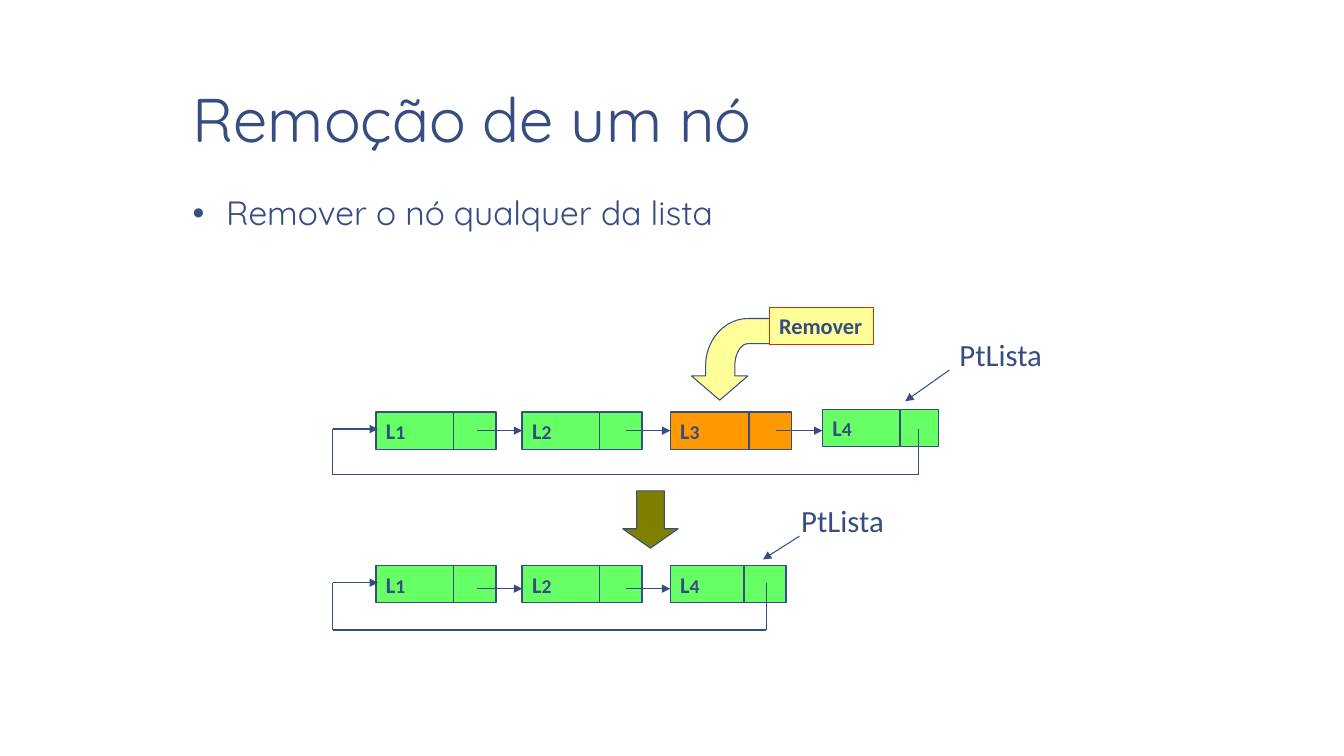
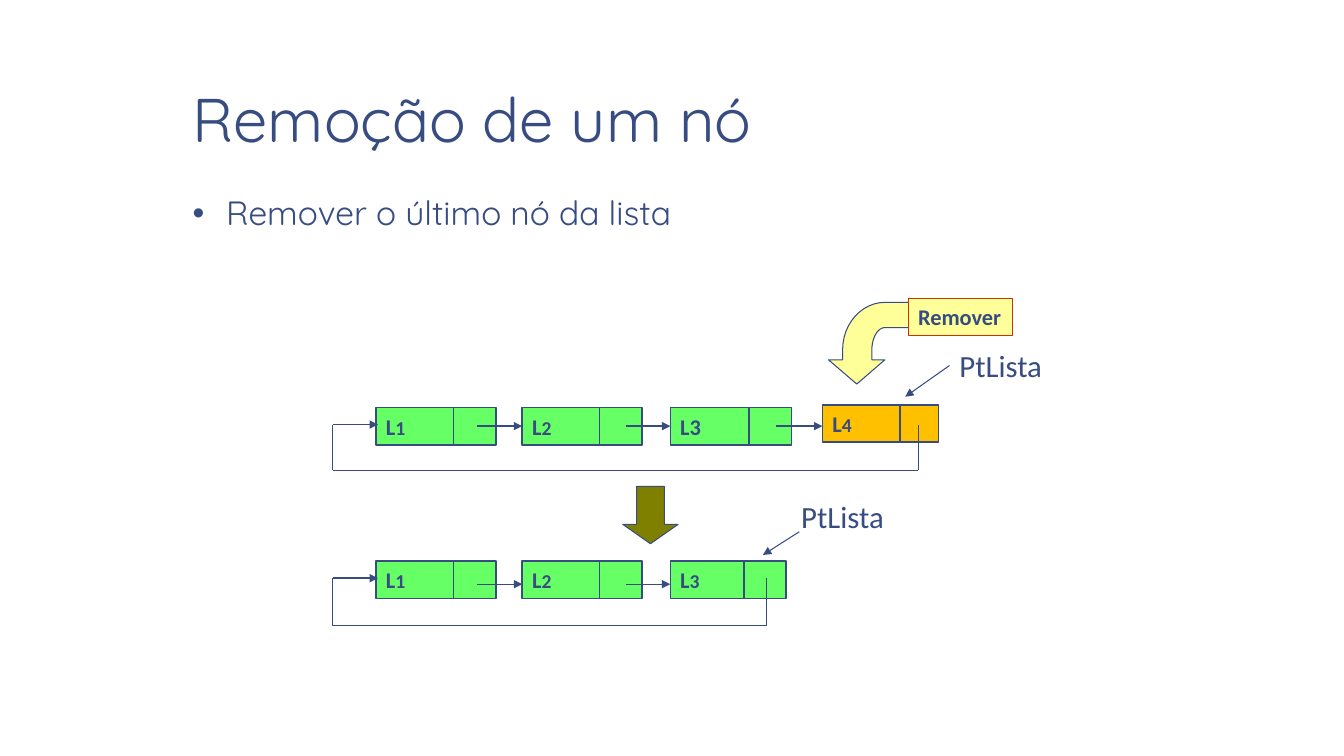
"""Build two slides on removing a node from a circular linked list."""
from dataclasses import dataclass
from lxml.etree import SubElement
from pptx import Presentation
from pptx.dml.color import RGBColor
from pptx.enum.shapes import MSO_CONNECTOR, MSO_SHAPE
from pptx.enum.text import MSO_ANCHOR, PP_ALIGN
from pptx.oxml.ns import qn
from pptx.util import Pt


@dataclass(frozen=True)
class Theme:
    ink: RGBColor = RGBColor.from_string("374C81")
    node: RGBColor = RGBColor.from_string("66FF66")
    orange: RGBColor = RGBColor.from_string("FF9900")
    amber: RGBColor = RGBColor.from_string("FFC000")
    olive: RGBColor = RGBColor.from_string("808000")
    note: RGBColor = RGBColor.from_string("FFFF99")
    note_edge: RGBColor = RGBColor.from_string("CC3300")
    heading_face: str = "Quicksand"
    label_face: str = "Calibri"
    title_size: int = 44
    body_size: int = 24
    pointer_size: int = 22
    label_size: int = 16
    digit_size: int = 14
    thin: float = 0.75
    medium: float = 1


theme = Theme()


def write(holder, parts, size, face, bold=False, anchor=MSO_ANCHOR.MIDDLE, inset=(7.2, 3.6), wrap=False):
    frame = holder.text_frame
    frame.word_wrap = wrap
    frame.vertical_anchor = anchor
    frame.margin_left = frame.margin_right = Pt(inset[0])
    frame.margin_top = frame.margin_bottom = Pt(inset[1])
    paragraph = frame.paragraphs[0]
    paragraph.alignment = PP_ALIGN.LEFT
    for part in parts:
        paragraph.add_run().text = part
    paragraph.font.size = Pt(size)
    paragraph.font.name = face
    paragraph.font.bold = bold
    paragraph.font.color.rgb = theme.ink
    return paragraph


def link(shapes, start, end, width=theme.thin, arrow=False):
    line = shapes.add_connector(MSO_CONNECTOR.STRAIGHT, *map(Pt, start + end))
    line.line.color.rgb = theme.ink
    line.line.width = Pt(width)
    properties = line._element.spPr
    if arrow:
        SubElement(properties.find(qn("a:ln")), qn("a:tailEnd"), type="triangle")
    SubElement(properties, qn("a:effectLst"))


node_height = 26.6
ring_left, entry_x = 237.6, 270
first_nodes = [(268.6, 324, 354.2, 340.6), (373, 428.4, 458.6, 447.1)]
full_list = first_nodes + [(478.8, 535, 565.2, 554.4), (587.5, 643, 670.3, 655.9)]
short_list = first_nodes + [(478.8, 531.4, 561.6, 547.2)]

outer_bend = [(10.1, 33.8), (10.1, 15.1), (23.8, 0), (40.3, 0)]
inner_bend = [(40.3, 18), (35.3, 18), (31, 25.2), (31, 33.8)]
bend_steps = 12
curves = []
for bend in (outer_bend, inner_bend):
    curve = []
    for step in range(bend_steps + 1):
        t = step / bend_steps
        weights = ((1 - t) ** 3, 3 * t * (1 - t) ** 2, 3 * t * t * (1 - t), t ** 3)
        curve.append(tuple(sum(w * point[axis] for w, point in zip(weights, bend)) for axis in (0, 1)))
    curves.append(curve)
bent_arrow = [(20.2, 58.3), (0, 41), (10.1, 41), *curves[0], (71.3, 0), (71.3, 18), *curves[1], (31, 41), (40.3, 41)]

cases = [
    {"topic": "Remover o nó qualquer da lista", "shift": 0, "removed": "L3", "highlight": theme.orange,
     "left": ["L1", "L2", "L4"], "arrow": (493.9, 227.5), "note": (549.4, 219.6), "pointer_top": 236.2,
     "even_labels": []},
    {"topic": "Remover o último nó da lista", "shift": -3.2, "removed": "L4", "highlight": theme.amber,
     "left": ["L1", "L2", "L3"], "arrow": (591.8, 216), "note": (648.7, 213.1), "pointer_top": 244.1,
     "even_labels": ["L3"]},
]

deck = Presentation()
deck.slide_width, deck.slide_height = Pt(960), Pt(540)

for case in cases:
    shapes = deck.slides.add_slide(deck.slide_layouts[6]).shapes
    shift = case["shift"]
    painted = []

    title = shapes.add_textbox(Pt(128.2), Pt(5.8), Pt(708.5), Pt(110.2))
    heading = write(title, ["Remoção de um nó"], theme.title_size, theme.heading_face,
                    anchor=MSO_ANCHOR.BOTTOM, inset=(9.4, 5), wrap=True)
    heading.line_spacing = 0.85

    topic = shapes.add_textbox(Pt(128.2), Pt(133.9), Pt(708.5), Pt(37.4))
    bullet = topic.text_frame.paragraphs[0]
    bullet.line_spacing = 0.95
    indents = bullet._p.get_or_add_pPr()
    indents.set("marL", str(Pt(24)))
    indents.set("indent", str(Pt(-24)))
    SubElement(indents, qn("a:buFont"), typeface="Arial")
    SubElement(indents, qn("a:buChar"), char="•")
    write(topic, [case["topic"]], theme.body_size, theme.heading_face,
          anchor=MSO_ANCHOR.TOP, inset=(9.4, 5), wrap=True)

    rows = [
        {"labels": ["L1", "L2", "L3", "L4"], "nodes": full_list, "top": 294.4, "last_top": 292.4,
         "link_y": 307.6, "entry_y": 306.5, "ring_y": 339, "even": case["even_labels"]},
        {"labels": case["left"], "nodes": short_list, "top": 404, "last_top": 404,
         "link_y": 420.5, "entry_y": 416.2, "ring_y": 450, "even": []},
    ]
    for row in rows:
        last = len(row["nodes"]) - 1
        for index, (label, (left, divider, right, exit_x)) in enumerate(zip(row["labels"], row["nodes"])):
            top = row["last_top" if index == last else "top"] + shift
            fill = case["highlight"] if row is rows[0] and label == case["removed"] else theme.node
            for start, end in ((left, divider), (divider, right)):
                cell = shapes.add_shape(MSO_SHAPE.RECTANGLE, Pt(start), Pt(top), Pt(end - start), Pt(node_height))
                painted.append((cell, fill, theme.ink, theme.medium))
                if start == left:
                    parts = [label] if label in row["even"] else list(label)
                    name = write(cell, parts, theme.label_size, theme.label_face, bold=True)
                    for digit in name.runs[1:]:
                        digit.font.size = Pt(theme.digit_size)
        link_y, entry_y, ring_y = (row[key] + shift for key in ("link_y", "entry_y", "ring_y"))
        for node, following in zip(row["nodes"], row["nodes"][1:]):
            link(shapes, (node[3], link_y), (following[0], link_y), theme.medium, arrow=True)
        ring_right = row["nodes"][-1][3]
        link(shapes, (ring_right, entry_y), (ring_right, ring_y))
        link(shapes, (ring_left, ring_y), (ring_right, ring_y))
        link(shapes, (ring_left, entry_y), (ring_left, ring_y))
        link(shapes, (ring_left, entry_y), (entry_x, entry_y), theme.medium, arrow=True)

    for left, top in ((678.2, case["pointer_top"]), (565.2, 355 + shift)):
        pointer = shapes.add_textbox(Pt(left), Pt(top), Pt(74.2), Pt(33.8))
        write(pointer, ["PtLista"], theme.pointer_size, theme.label_face)
    link(shapes, (678.2, 264.3 + shift), (646.6, 286.6 + shift), arrow=True)
    link(shapes, (571, 383 + shift), (545, 399.6 + shift), arrow=True)

    result_arrow = shapes.add_shape(MSO_SHAPE.DOWN_ARROW, Pt(444.8), Pt(350.6 + shift), Pt(39.6), Pt(41))
    result_arrow.adjustments[0] = 0.5
    result_arrow.adjustments[1] = 0.35
    painted.append((result_arrow, theme.olive, theme.ink, theme.thin))

    origin_x, origin_y = case["arrow"]
    outline = [(Pt(origin_x + x), Pt(origin_y + y)) for x, y in bent_arrow]
    builder = shapes.build_freeform(*outline[0])
    builder.add_line_segments(outline[1:], close=True)
    painted.append((builder.convert_to_shape(), theme.note, theme.ink, theme.thin))

    note_left, note_top = case["note"]
    note = shapes.add_shape(MSO_SHAPE.RECTANGLE, Pt(note_left), Pt(note_top), Pt(74.9), Pt(node_height))
    write(note, ["Remover"], theme.label_size, theme.label_face, bold=True)
    painted.append((note, theme.note, theme.note_edge, theme.thin))

    for shape, fill, edge, width in painted:
        shape.shadow.inherit = False
        shape.fill.solid()
        shape.fill.fore_color.rgb = fill
        shape.line.color.rgb = edge
        shape.line.width = Pt(width)

deck.save("out.pptx")
